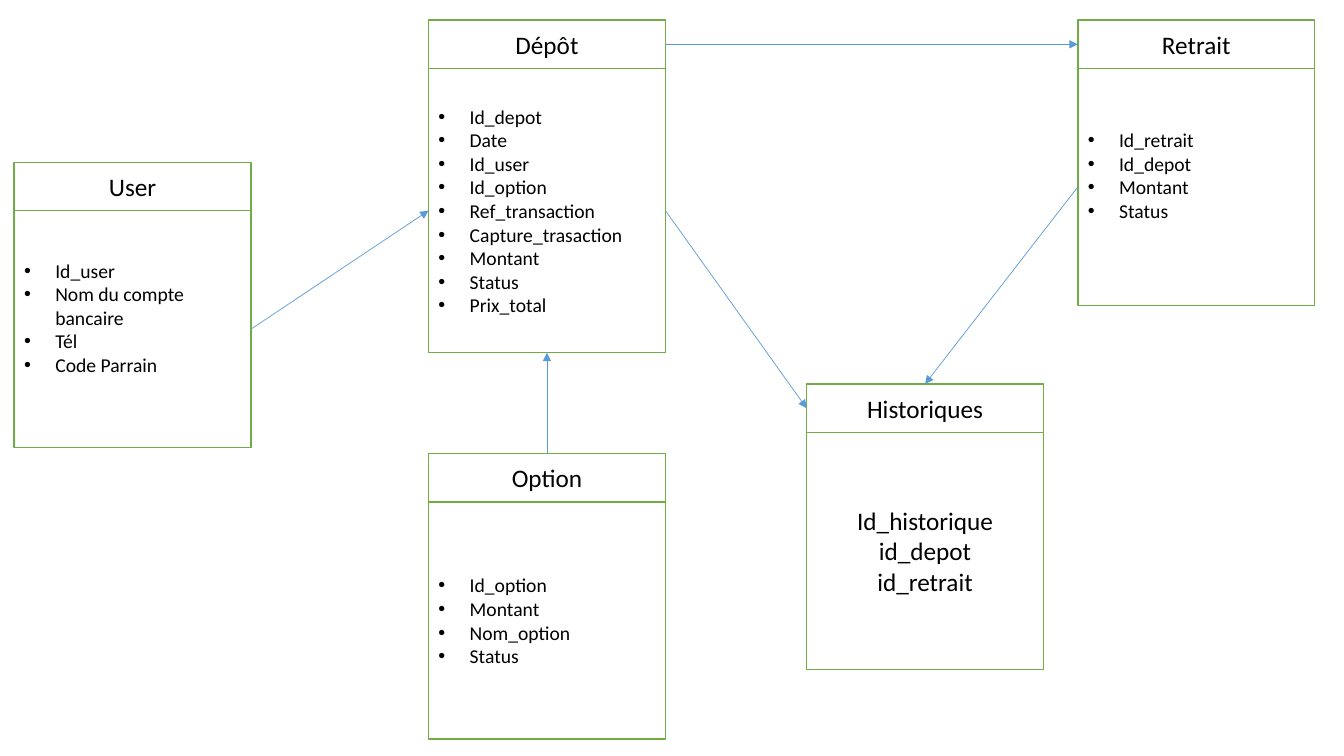
from lxml import etree
from pptx import Presentation
from pptx.dml.color import RGBColor
from pptx.enum.shapes import MSO_CONNECTOR, MSO_SHAPE
from pptx.enum.text import MSO_ANCHOR, PP_ALIGN
from pptx.oxml.ns import qn
from pptx.util import Inches, Pt

RECTANGLE, STRAIGHT = MSO_SHAPE.RECTANGLE, MSO_CONNECTOR.STRAIGHT
MIDDLE, LEFT_ALIGN, CENTER = MSO_ANCHOR.MIDDLE, PP_ALIGN.LEFT, PP_ALIGN.CENTER
TOP, LEFT, BOTTOM, RIGHT = range(4)

COLORS = {"border": "70AD47", "link": "5B9BD5", "text": "000000", "fill": "FFFFFF"}
FONT = "Calibri"
SLIDE_W, SLIDE_H = 13.33, 7.5
ENTITY_W, TITLE_H, BODY_H = 2.35, 0.48, 2.35
INDENT, INSET, LINE_H = 0.31, 0.05, 0.23

# Entity: left, top, fields, and format where it differs from the usual one
ENTITIES = {
    "User": (0.14, 1.61, ["Id_user", "Nom du compte bancaire", "Tél", "Code Parrain"],
             {"lift": LINE_H}),
    "Dépôt": (4.25, 0.2, ["Id_depot", "Date", "Id_user", "Id_option", "Ref_transaction",
                          "Capture_trasaction", "Montant", "Status", "Prix_total"],
              {"height": BODY_H * 1.2}),
    "Retrait": (10.69, 0.2, ["Id_retrait", "Id_depot", "Montant", "Status"],
                {"lift": LINE_H}),
    "Option": (4.25, 4.5, ["Id_option", "Montant", "Nom_option", "Status"], {}),
    "Historiques": (8, 3.81, ["Id_historique", "id_depot", "id_retrait"],
                    {"size": 18, "bullets": False}),
}

# Relation: (entity, part, side) at each end
RELATIONS = [
    (("Dépôt", "body", RIGHT), ("Historiques", "title", LEFT)),
    (("Retrait", "body", LEFT), ("Historiques", "title", TOP)),
    (("Dépôt", "title", RIGHT), ("Retrait", "title", LEFT)),
    (("Option", "title", TOP), ("Dépôt", "body", BOTTOM)),
    (("User", "body", RIGHT), ("Dépôt", "body", LEFT)),
]


def write(shape, lines, size=14, bullets=True, lift=0):
    frame = shape.text_frame
    frame.word_wrap = True
    frame.vertical_anchor = MIDDLE
    frame.margin_bottom = Inches(INSET + lift)
    for number, line in enumerate(lines):
        paragraph = frame.add_paragraph() if number else frame.paragraphs[0]
        paragraph.alignment = LEFT_ALIGN if bullets else CENTER
        run = paragraph.add_run()
        run.text = line
        run.font.name, run.font.size = FONT, Pt(size)
        run.font.color.rgb = RGBColor.from_string(COLORS["text"])
        if bullets:
            properties = paragraph._p.get_or_add_pPr()
            properties.set("marL", str(Inches(INDENT)))
            properties.set("indent", str(-Inches(INDENT)))
            etree.SubElement(properties, qn("a:buFont")).set("typeface", "Arial")
            etree.SubElement(properties, qn("a:buChar")).set("char", "•")


def add_box(slide, left, top, height, lines, **text_format):
    box = slide.shapes.add_shape(RECTANGLE, Inches(left), Inches(top),
                                 Inches(ENTITY_W), Inches(height))
    box.shadow.inherit = False
    box.fill.solid()
    box.fill.fore_color.rgb = RGBColor.from_string(COLORS["fill"])
    box.line.color.rgb = RGBColor.from_string(COLORS["border"])
    box.line.width = Pt(1)
    write(box, lines, **text_format)
    return box


def add_relation(slide, source, source_side, target, target_side):
    link = slide.shapes.add_connector(STRAIGHT, 0, 0, 0, 0)
    link.begin_connect(source, source_side)
    link.end_connect(target, target_side)
    link.line.color.rgb = RGBColor.from_string(COLORS["link"])
    link.line.width = Pt(0.5)
    etree.SubElement(link.line._get_or_add_ln(), qn("a:tailEnd")).set("type", "triangle")
    etree.SubElement(link._element.spPr, qn("a:effectLst"))


def main():
    deck = Presentation()
    deck.slide_width, deck.slide_height = Inches(SLIDE_W), Inches(SLIDE_H)
    slide = deck.slides.add_slide(deck.slide_layouts[6])

    # Entities: a body with a title box on top of it
    boxes = {}
    for entity, (left, top, fields, options) in ENTITIES.items():
        body_format = dict(options)
        height = body_format.pop("height", BODY_H)
        boxes[entity, "body"] = add_box(slide, left, top + TITLE_H, height,
                                        fields, **body_format)
        boxes[entity, "title"] = add_box(slide, left, top, TITLE_H, [entity],
                                         size=18, bullets=False)

    # Arrows between the entities
    for (source, source_part, source_side), (target, target_part, target_side) in RELATIONS:
        add_relation(slide, boxes[source, source_part], source_side,
                     boxes[target, target_part], target_side)

    deck.save("out.pptx")


if __name__ == "__main__":
    main()
